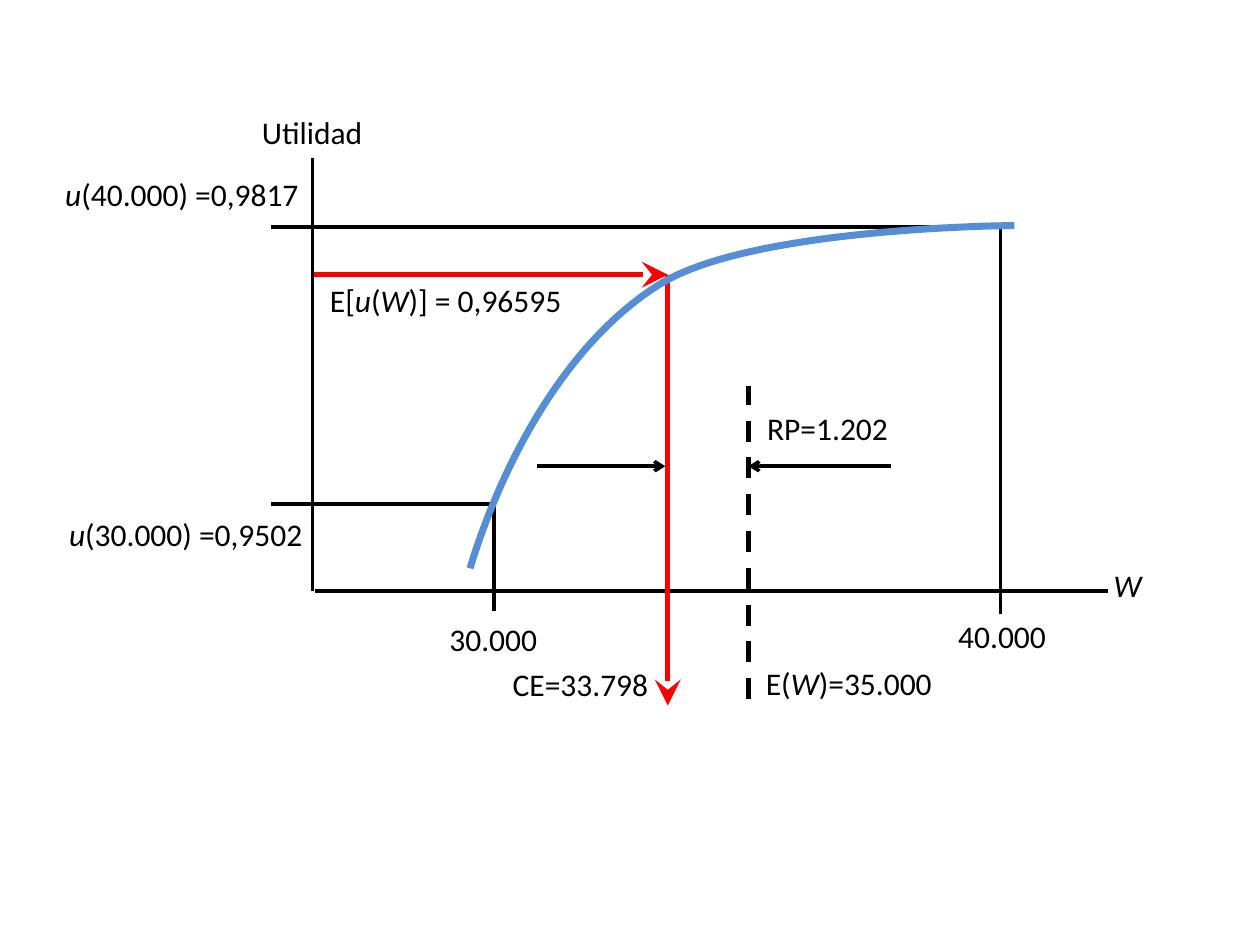
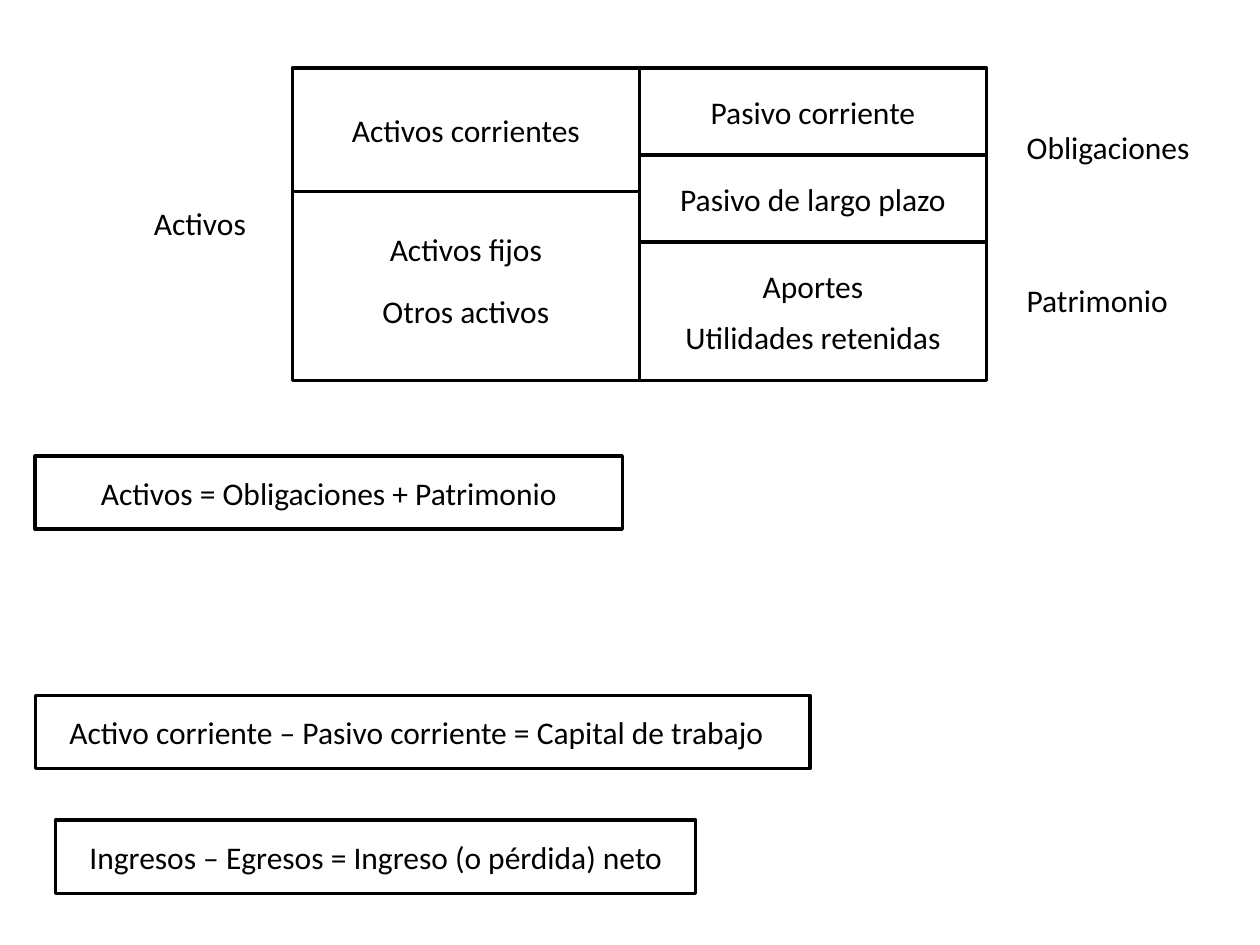
from dataclasses import dataclass

from lxml import etree
from pptx import Presentation
from pptx.dml.color import RGBColor
from pptx.enum.dml import MSO_LINE
from pptx.enum.shapes import MSO_CONNECTOR, MSO_SHAPE
from pptx.enum.text import MSO_ANCHOR, MSO_AUTO_SIZE, PP_ALIGN
from pptx.oxml.ns import qn
from pptx.util import Inches, Pt

STRAIGHT = MSO_CONNECTOR.STRAIGHT
RECTANGLE = MSO_SHAPE.RECTANGLE
DASH = MSO_LINE.DASH
MIDDLE = MSO_ANCHOR.MIDDLE
FIT_TEXT = MSO_AUTO_SIZE.SHAPE_TO_FIT_TEXT
LEFT, CENTER, RIGHT = PP_ALIGN.LEFT, PP_ALIGN.CENTER, PP_ALIGN.RIGHT


@dataclass(frozen=True)
class Theme:
    font: str = "Calibri"
    text_size: int = 18
    ink: RGBColor = RGBColor(0x00, 0x00, 0x00)
    highlight: RGBColor = RGBColor(0xFF, 0x00, 0x00)
    curve: RGBColor = RGBColor(0x55, 0x8E, 0xD5)
    thin: float = 2
    thick: float = 3
    curve_width: float = 4


THEME = Theme()
LABEL_HEIGHT = 0.4

# Utility graph: axes and the levels marked on them
AXIS_X, AXIS_Y = 2.48, 4.69
WEALTH_LOW, WEALTH_CERTAIN, WEALTH_MEAN, WEALTH_HIGH = 3.92, 5.3, 5.94, 7.94
UTILITY_LOW, UTILITY_MEAN, UTILITY_HIGH = 4, 2.18, 1.8
TICK_LEFT = 2.15
PREMIUM_Y = 3.7
CURVE_START = (3.73, 4.51)
CURVE_SEGMENTS = [
    ((4, 3.63), (4.51, 2.71), (5.23, 2.26)),
    ((5.95, 1.8), (8.05, 1.79), (8.05, 1.79)),
]
CURVE_STEPS = 30

# Balance sheet: two columns of stacked cells (height, lines, gap in points, lift)
BALANCE_LEFT, BALANCE_TOP, COLUMN_WIDTH = 2.32, 0.54, 2.755
BALANCE_COLUMNS = [
    [
        (0.98, ["Activos corrientes"], 0, 0),
        (1.5, ["Activos fijos", "Otros activos"], 14, 0.1),
    ],
    [
        (0.69, ["Pasivo corriente"], 0, 0),
        (0.69, ["Pasivo de largo plazo"], 0, 0),
        (1.1, ["Aportes", "Utilidades retenidas"], 7.5, 0),
    ],
]
FORMULA_HEIGHT = 0.58
FORMULA_INDENT = 0.27


def write_paragraph(paragraph, text, align):
    """Write text whose parts between asterisks are italic."""
    paragraph.alignment = align
    paragraph.font.name = THEME.font
    paragraph.font.size = Pt(THEME.text_size)
    paragraph.font.color.rgb = THEME.ink
    for index, part in enumerate(text.split("*")):
        if part:
            run = paragraph.add_run()
            run.text = part
            if index % 2:
                run.font.italic = True


def add_label(slide, text, left, top, width, align=LEFT):
    box = slide.shapes.add_textbox(
        Inches(left), Inches(top), Inches(width), Inches(LABEL_HEIGHT))
    box.text_frame.word_wrap = False
    box.text_frame.auto_size = FIT_TEXT
    write_paragraph(box.text_frame.paragraphs[0], text, align)


def add_line(slide, start, end, color=THEME.ink, width=THEME.thin,
             arrow=None, arrow_size="med"):
    line = slide.shapes.add_connector(
        STRAIGHT, *(Inches(value) for value in (*start, *end)))
    line.line.color.rgb = color
    line.line.width = Pt(width)
    if arrow:
        etree.SubElement(line.line._get_or_add_ln(), qn("a:tailEnd"),
                         type=arrow, w=arrow_size, len=arrow_size)
    etree.SubElement(line._element.spPr, qn("a:effectLst"))
    return line


def add_box(slide, left, top, width, height, lines, align=CENTER,
            gap=0, lift=0, indent=0.1):
    """Draw an outlined box; gap parts its lines and lift raises them."""
    box = slide.shapes.add_shape(
        RECTANGLE, Inches(left), Inches(top), Inches(width), Inches(height))
    box.shadow.inherit = False
    box.fill.background()
    box.line.color.rgb = THEME.ink
    box.line.width = Pt(THEME.thin)
    frame = box.text_frame
    frame.word_wrap = True
    frame.vertical_anchor = MIDDLE
    frame.margin_left = Inches(indent)
    frame.margin_bottom = Inches(0.05 + lift)
    for index, text in enumerate(lines):
        paragraph = frame.add_paragraph() if index else frame.paragraphs[0]
        if index:
            paragraph.space_before = Pt(gap)
        write_paragraph(paragraph, text, align)


def bezier_point(points, t):
    weights = ((1 - t) ** 3, 3 * t * (1 - t) ** 2, 3 * t ** 2 * (1 - t), t ** 3)
    return tuple(
        Inches(sum(weight * point[axis] for weight, point in zip(weights, points)))
        for axis in (0, 1))


def add_utility_curve(slide):
    points, start = [], CURVE_START
    for segment in CURVE_SEGMENTS:
        points += [bezier_point((start, *segment), step / CURVE_STEPS)
                   for step in range(1, CURVE_STEPS + 1)]
        start = segment[-1]
    builder = slide.shapes.build_freeform(
        *(Inches(value) for value in CURVE_START), scale=1.0)
    builder.add_line_segments(points, close=False)
    curve = builder.convert_to_shape()
    curve.shadow.inherit = False
    curve.fill.background()
    curve.line.color.rgb = THEME.curve
    curve.line.width = Pt(THEME.curve_width)


def build_utility_slide(slide):
    plain_lines = [
        ((2.5, AXIS_Y), (8.79, AXIS_Y)),
        ((AXIS_X, AXIS_Y), (AXIS_X, 1.25)),
        ((WEALTH_LOW, 4.85), (WEALTH_LOW, UTILITY_LOW)),
        ((WEALTH_HIGH, 4.87), (WEALTH_HIGH, UTILITY_HIGH)),
        ((WEALTH_LOW, UTILITY_LOW), (TICK_LEFT, UTILITY_LOW)),
        ((WEALTH_HIGH, UTILITY_HIGH), (TICK_LEFT, UTILITY_HIGH)),
    ]
    for start, end in plain_lines:
        add_line(slide, start, end)

    mean_line = add_line(slide, (WEALTH_MEAN, 5.55), (WEALTH_MEAN, 3.06),
                         width=THEME.thick)
    mean_line.line.dash_style = DASH

    certain_point = (WEALTH_CERTAIN, UTILITY_MEAN)
    for start, end in [((2.49, UTILITY_MEAN), certain_point),
                       (certain_point, (WEALTH_CERTAIN, 5.6))]:
        add_line(slide, start, end, THEME.highlight, THEME.thick, "stealth", "lg")
    for start_x, end_x in [(4.26, 5.28), (7.07, WEALTH_MEAN)]:
        add_line(slide, (start_x, PREMIUM_Y), (end_x, PREMIUM_Y), arrow="arrow")
    add_utility_curve(slide)

    labels = [
        ("Utilidad", 1.98, 0.85, 1.01, LEFT),
        ("*u*(40.000) =0,9817", 0.36, 1.34, 2.11, RIGHT),
        ("*u*(30.000) =0,9502", 0.41, 4.04, 2.09, RIGHT),
        ("E[*u*(*W*)] = 0,96595", 2.52, 2.18, 2.06, LEFT),
        ("RP=1.202", 5.99, 3.2, 1.17, LEFT),
        ("*W*", 8.74, 4.44, 0.49, LEFT),
        ("30.000", 3.46, 4.87, 0.91, CENTER),
        ("40.000", 7.49, 4.85, 0.91, RIGHT),
        ("CE=33.798", 3.97, 5.23, 1.29, LEFT),
        ("E(*W*)=35.000", 5.98, 5.22, 1.53, LEFT),
    ]
    for label in labels:
        add_label(slide, *label)


def build_balance_slide(slide):
    for column, cells in enumerate(BALANCE_COLUMNS):
        left = BALANCE_LEFT + column * COLUMN_WIDTH
        top = BALANCE_TOP
        for height, lines, gap, lift in cells:
            add_box(slide, left, top, COLUMN_WIDTH, height, lines,
                    gap=gap, lift=lift)
            top += height

    add_label(slide, "Activos", 1.1, 1.57, 0.95, RIGHT)
    add_label(slide, "Obligaciones", 8.05, 0.97, 1.51)
    add_label(slide, "Patrimonio", 8.05, 2.18, 1.34)

    add_box(slide, 0.28, 3.62, 4.66, FORMULA_HEIGHT,
            ["Activos = Obligaciones + Patrimonio"])
    formulas = [
        ("Activo corriente – Pasivo corriente = Capital de trabajo", 0.28, 5.52, 6.15),
        ("Ingresos – Egresos = Ingreso (o pérdida) neto", 0.44, 6.51, 5.08),
    ]
    for text, left, top, width in formulas:
        add_box(slide, left, top, width, FORMULA_HEIGHT, [text],
                align=LEFT, indent=FORMULA_INDENT)


def main():
    presentation = Presentation()
    presentation.slide_width = Inches(10)
    presentation.slide_height = Inches(7.5)
    blank_layout = presentation.slide_layouts[6]
    for build in (build_utility_slide, build_balance_slide):
        build(presentation.slides.add_slide(blank_layout))
    presentation.save("out.pptx")


if __name__ == "__main__":
    main()
